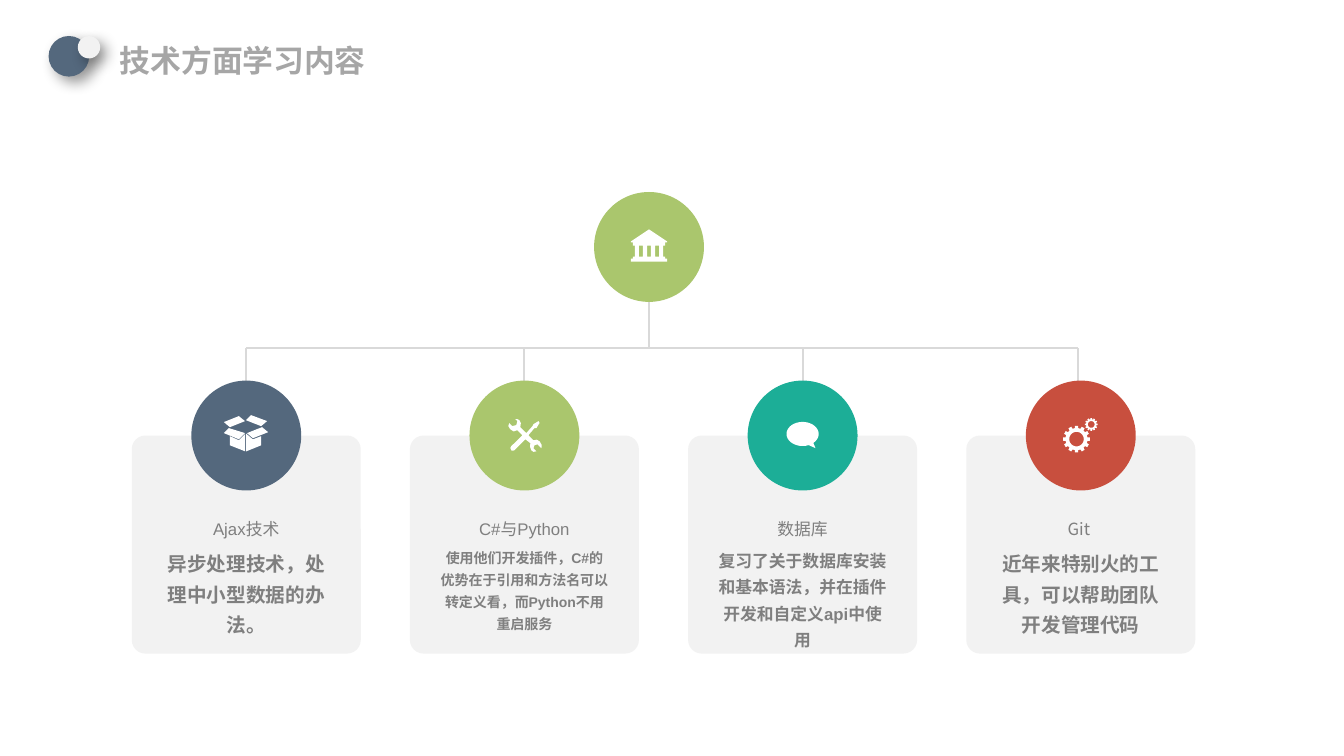
from math import cos, radians, sin

from lxml import etree
from pptx import Presentation
from pptx import util as u
from pptx.dml.color import RGBColor
from pptx.enum import shapes, text
from pptx.oxml.ns import qn

COLORS = {
    "white": "FFFFFF", "card": "F2F2F2", "line": "D9D9D9", "body": "7F7F7F",
    "title": "A6A6A6", "slate": "54687D", "green": "AAC66D",
    "teal": "1CAE97", "red": "C84F3E", "shadow": "000000",
}


def polar(x, y, rx, ry, degrees):
    return x + rx * cos(radians(degrees)), y + ry * sin(radians(degrees))


def gear(x, y, tip, root, hole, teeth=12):
    step = 360 / teeth
    rim = [polar(x, y, r, r, step * tooth + offset)
           for tooth in range(teeth)
           for r, offset in ((root, -9), (tip, -7), (tip, 7), (root, 9))]
    bore = [polar(x, y, hole, hole, angle) for angle in range(0, 360, 10)]
    return [rim, bore]


def bank():
    right = [(0, -12.6), (13, -3.9), (13, -3.2), (11.5, -3.2), (11.5, -1),
             (10, -1), (10, 6.9), (11.5, 6.9), (11.5, 8.3), (13, 8.3), (13, 10.5)]
    left = [(-x, y) for x, y in reversed(right[1:])]
    gaps = [[(x - 1.4, -1), (x + 1.4, -1), (x + 1.4, 6.9), (x - 1.4, 6.9)]
            for x in (-5.8, 0, 5.8)]
    return [right + left] + gaps


BANK = [bank()]
BOX = [[face] for face in (
    [(-0.9, -10.3), (-5.3, -13.9), (-16, -9.6), (-11.7, -6)],
    [(0, -1.3), (0, 11.3), (10.6, 7), (10.6, 0.5), (4.8, 2.7)],
    [(0.5, -1.7), (4.8, 1.9), (15.6, -2.4), (11.3, -6)],
    [(14.9, -10.3), (3.4, -14.6), (-0.2, -11), (10.6, -6.7)],
    [(-11.7, 0.5), (-11.7, 7), (-0.9, 11.3), (-0.9, -0.9), (-5.3, 3.4)],
    [(-0.9, -1.7), (-12.5, -5.3), (-16, -1.7), (-5.3, 2.7)],
)]
TOOLS = [[[
    (10.8, 4.1), (8.8, 3), (6.5, 3.4), (2.9, -0.2), (7.2, -5.3), (8.6, -5.3),
    (10.8, -8.9), (10.1, -10.3), (6.5, -8.1), (5.8, -6.7), (1.4, -1.7),
    (-2.9, -6), (-2.5, -8.9), (-3.6, -11), (-4.9, -11.7), (-6.5, -11.7),
    (-5, -10.3), (-5.8, -7.4), (-8.6, -6.7), (-10.8, -8.9), (-11.5, -6.7),
    (-10.1, -4.5), (-7.7, -2.9), (-5, -3.8), (-1.4, -0.2), (-9.4, 7.7),
    (-10, 8.8), (-9.4, 10.6), (-8.3, 10.9), (-7.2, 10.6), (0.7, 2.7),
    (4.3, 5.5), (4, 8), (5, 10.6), (6.5, 11.7), (8.6, 11.3), (6.5, 9.1),
    (7.2, 7), (9.4, 6.3), (12.2, 9.1), (12.3, 6.6),
]]]
BUBBLE = [[[polar(0, -1.1, 11.5, 8.6, angle) for angle in range(68, 409, 10)]
           + [(9.2, 9)]]]
GEARS = [gear(-3, 2.6, 9.6, 7.9, 5.2), gear(7.5, -7.9, 4.6, 3.7, 2.4)]

TOPICS = [
    ("Ajax技术", "Arial", "异步处理技术，处理中小型数据的办法。", 14, "slate", BOX),
    ("C#与Python", "Arial",
     "使用他们开发插件，C#的优势在于引用和方法名可以转定义看，而Python不用重启服务",
     10, "green", TOOLS),
    ("数据库", "Arial", "复习了关于数据库安装和基本语法，并在插件开发和自定义api中使用",
     12, "teal", BUBBLE),
    ("Git ", "Noto Sans CJK SC", "近年来特别火的工具，可以帮助团队开发管理代码",
     14, "red", GEARS),
]


class Canvas:
    east_asian_font = "Noto Sans CJK SC"
    line_width = 1.5

    def __init__(self, slide):
        self.slide = slide
        self.items = slide.shapes

    def paint(self, item, color):
        item.shadow.inherit = False
        item.fill.solid()
        item.fill.fore_color.rgb = RGBColor.from_string(COLORS[color])
        item.line.fill.background()

    def card(self, x, y, width, height):
        panel = self.items.add_shape(shapes.MSO_SHAPE.ROUNDED_RECTANGLE,
                                     *map(u.Pt, (x, y, width, height)))
        panel.adjustments[0] = 0.063
        self.paint(panel, "card")

    def disc(self, x, y, size, color, shadow=False):
        circle = self.items.add_shape(
            shapes.MSO_SHAPE.OVAL,
            *map(u.Pt, (x - size / 2, y - size / 2, size, size)))
        self.paint(circle, color)
        if shadow:
            effects = circle._element.spPr.find(qn("a:effectLst"))
            outer = etree.SubElement(
                effects, qn("a:outerShdw"), blurRad=str(u.Pt(10)),
                dist=str(u.Pt(6)), dir="2700000", algn="tl", rotWithShape="0")
            tint = etree.SubElement(outer, qn("a:srgbClr"), val=COLORS["shadow"])
            etree.SubElement(tint, qn("a:alpha"), val="40000")

    def line(self, x1, y1, x2, y2):
        link = self.items.add_connector(shapes.MSO_CONNECTOR.STRAIGHT,
                                        *map(u.Pt, (x1, y1, x2, y2)))
        link.line.color.rgb = RGBColor.from_string(COLORS["line"])
        link.line.width = u.Pt(self.line_width)
        etree.SubElement(link._element.spPr, qn("a:effectLst"))

    def icon(self, x, y, parts):
        for contours in parts:
            outlines = [[(u.Pt(x + dx), u.Pt(y + dy)) for dx, dy in contour]
                        for contour in contours]
            builder = self.items.build_freeform(*outlines[0][0])
            for index, outline in enumerate(outlines):
                if index:
                    builder.move_to(*outline[0])
                builder.add_line_segments(outline[1:], close=True)
            self.paint(builder.convert_to_shape(), "white")

    def text(self, x, y, width, height, words, size, color="body", font="Arial",
             bold=False, centered=True, middle=False, inset=(0, 0)):
        box = self.items.add_textbox(*map(u.Pt, (x, y, width, height)))
        frame = box.text_frame
        frame.word_wrap = True
        frame.margin_left = frame.margin_right = u.Pt(inset[0])
        frame.margin_top = frame.margin_bottom = u.Pt(inset[1])
        if middle:
            frame.vertical_anchor = text.MSO_ANCHOR.MIDDLE
            frame.auto_size = text.MSO_AUTO_SIZE.SHAPE_TO_FIT_TEXT
        paragraph = frame.paragraphs[0]
        run = paragraph.add_run()
        run.text = words
        etree.SubElement(run._r.get_or_add_rPr(), qn("a:ea"),
                         typeface=self.east_asian_font)
        if centered:
            paragraph.alignment = text.PP_ALIGN.CENTER
        paragraph.font.name = font
        paragraph.font.size = u.Pt(size)
        paragraph.font.bold = bold
        paragraph.font.color.rgb = RGBColor.from_string(COLORS[color])
        return paragraph


def main():
    deck = Presentation()
    deck.slide_width, deck.slide_height = u.Pt(960), u.Pt(540)
    canvas = Canvas(deck.slides.add_slide(deck.slide_layouts[6]))

    first_x, pitch, disc_y, disc_size = 175.9, 198.7, 311.1, 78.5
    root_x, root_y, bus_y, bus_end = 463.6, 176.4, 248.8, 770
    centers = [first_x + pitch * i for i in range(len(TOPICS))]

    for x, (name, font, summary, size, _, _) in zip(centers, TOPICS):
        canvas.card(x - 81.8, disc_y, 163.6, 155.8)
        canvas.text(x - 60.8, 370.7, 121.6, 14.4, name, 12, font=font, middle=True)
        body = canvas.text(x - 60.8, 389.2, 121.6, 72, summary, size, bold=True)
        body.line_spacing = 1.3

    for x in centers:
        stem_x = min(x, bus_end)
        canvas.line(stem_x, 286, stem_x, bus_y)
    canvas.line(first_x, bus_y, bus_end, bus_y)
    canvas.line(root_x, bus_y, root_x, 212)

    canvas.disc(root_x, root_y, disc_size, "green")
    canvas.icon(root_x, root_y, BANK)
    for x, (*_, color, symbol) in zip(centers, TOPICS):
        canvas.disc(x, disc_y, disc_size, color)
        canvas.icon(x, disc_y, symbol)

    canvas.disc(49.2, 40.2, 29, "slate", shadow=True)
    title = canvas.text(78.5, 26, 241, 29, "技术方面学习内容", 22, "title",
                        bold=True, centered=False, inset=(7.2, 3.6))
    title.space_before, title.space_after = u.Pt(4.4), u.Pt(6)
    canvas.disc(63.6, 33.8, 16, "card", shadow=True)
    deck.save("out.pptx")


if __name__ == "__main__":
    main()
